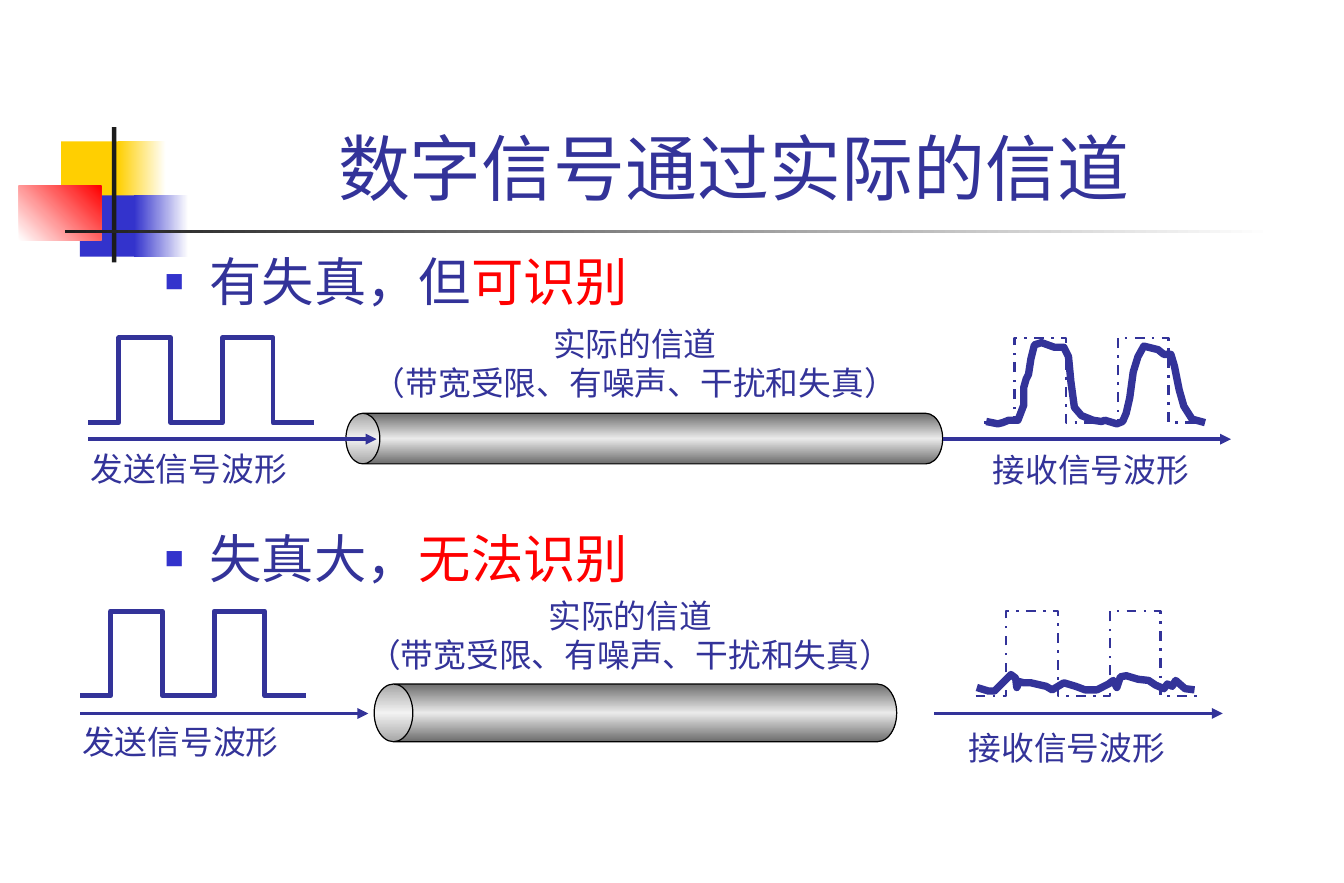
from copy import deepcopy
from dataclasses import dataclass

from lxml import etree
from pptx import Presentation, util as u
from pptx.dml.color import RGBColor
from pptx.enum import dml, shapes, text
from pptx.oxml.ns import qn

NAVY, RED, BLUE, YELLOW = "333399", "FF0000", "3333CC", "FFCF01"
BLACK, WHITE, STEEL, SILVER = "1C1C1C", "FFFFFF", "6C6C6C", "EAEAEA"
SANS = "Noto Sans CJK SC"
RECEIVED_SHIFT = 7.61  # from the sent signal to the received one
Points = list[tuple[float, float]]
Area = tuple[float, float, float, float]


@dataclass
class Block:
    area: Area
    colours: tuple[str, ...]
    angle: float = 0


@dataclass
class Pipe:
    centre: tuple[float, float]
    length: float
    thickness: float
    bend: float


@dataclass
class Label:
    area: Area
    lines: tuple[str, ...]
    font: str
    centred: bool = True
    wrap: bool = False


@dataclass
class Channel:
    left: float
    top: float
    axis: float
    pipe: Pipe
    received: Points
    labels: list[Label]


BLOCKS = [
    Block((0.52, 1.2, 0.55, 0.52), (YELLOW,)),
    Block((1, 1.2, 0.41, 0.52), (YELLOW, WHITE)),
    Block((0.68, 1.66, 0.53, 0.52), (BLUE,)),
    Block((1.14, 1.66, 0.46, 0.52), (BLUE, WHITE)),
    Block((0.16, 1.58, 0.7, 0.46), (WHITE, RED), 45),
    Block((0.95, 1.08, 0.04, 1.15), (BLACK,)),
    Block((0.55, 1.95, 10.27, 0.03), (BLACK, WHITE)),
]
PULSES = [(0, 0.72), (0.26, 0.72), (0.26, 0), (0.7, 0), (0.7, 0.72),
          (1.14, 0.72), (1.14, 0), (1.57, 0), (1.57, 0.72), (1.92, 0.72)]
READABLE = [
    (8.38, 3.58), (8.48, 3.6), (8.52, 3.59), (8.57, 3.57), (8.65, 3.57), (8.7, 3.44),
    (8.7, 3.29), (8.72, 3.22), (8.74, 3.18), (8.76, 3.05), (8.79, 2.93), (8.85, 2.91),
    (8.96, 2.95), (9.04, 2.95), (9.08, 3.03), (9.1, 3.24), (9.13, 3.46), (9.19, 3.53),
    (9.29, 3.57), (9.36, 3.58), (9.39, 3.57), (9.49, 3.6), (9.54, 3.58), (9.57, 3.51),
    (9.6, 3.38), (9.63, 3.16), (9.67, 3.03), (9.72, 2.94), (9.84, 2.97), (9.89, 3.01),
    (9.95, 3.01), (9.98, 3.11), (10.02, 3.31), (10.06, 3.45), (10.13, 3.56), (10.24, 3.59)]
UNREADABLE = [
    (8.3, 5.84), (8.4, 5.87), (8.45, 5.87), (8.51, 5.81), (8.59, 5.73), (8.63, 5.76),
    (8.64, 5.84), (8.66, 5.79), (8.7, 5.8), (8.76, 5.8), (8.89, 5.83), (8.94, 5.86),
    (9.04, 5.8), (9.14, 5.83), (9.22, 5.86), (9.32, 5.86), (9.42, 5.81), (9.46, 5.78),
    (9.49, 5.84), (9.52, 5.75), (9.57, 5.74), (9.67, 5.77), (9.76, 5.78), (9.82, 5.82),
    (9.89, 5.85), (9.92, 5.81), (9.96, 5.83), (9.99, 5.78), (10.07, 5.85), (10.15, 5.86)]
MEDIUM = ("实际的信道", "（带宽受限、有噪声、干扰和失真）")
SENT, ARRIVED = ("发送信号波形",), ("接收信号波形",)
CHANNELS = [
    Channel(0.75, 2.87, 3.73, Pipe((5.475, 3.725), 5.07, 0.43, 0.67), READABLE, [
        Label((3.05, 2.7, 4.69, 0.77), MEDIUM, "Times New Roman"),
        Label((0.67, 3.76, 1.88, 0.44), SENT, SANS, centred=False),
        Label((8.07, 3.77, 2.4, 0.43), ARRIVED, SANS, wrap=True)]),
    Channel(0.68, 5.19, 6.06, Pipe((5.4, 6.055), 4.44, 0.49, 0.67), UNREADABLE, [
        Label((3.01, 5.01, 4.69, 0.77), MEDIUM, "Times New Roman"),
        Label((0.6, 6.08, 1.89, 0.44), SENT, SANS, centred=False),
        Label((7.91, 6.13, 2.31, 0.43), ARRIVED, SANS, wrap=True)]),
]


def colour(value: str) -> RGBColor:
    return RGBColor.from_string(value)


def inches(*values: float) -> list[u.Length]:
    return [u.Inches(value) for value in values]


def move(box, area: Area) -> None:
    box.left, box.top, box.width, box.height = inches(*area)


def add_span(para, words: str, size: float, font: str, shade: str = NAVY) -> None:
    span = para.add_run()
    span.text = words
    span.font.size = u.Pt(size)
    span.font.color.rgb = colour(shade)
    span.font.name = font
    etree.SubElement(span.font._element, qn("a:ea"), typeface=SANS)


def paint(box, colours: tuple[str, ...], angle: float = 0) -> None:
    box.shadow.inherit = False
    if len(colours) == 1:
        box.fill.solid()
        box.fill.fore_color.rgb = colour(colours[0])
        return
    box.fill.gradient()
    box.fill.gradient_angle = angle
    stops = box._element.spPr.find(".//" + qn("a:gsLst"))
    while len(stops) < len(colours):
        stops.append(deepcopy(stops[0]))
    for index, stop in enumerate(box.fill.gradient_stops):
        stop.position = index / (len(colours) - 1)
        stop.color.rgb = colour(colours[index])


def draw_block(page, block: Block) -> None:
    box = page.shapes.add_shape(shapes.MSO_SHAPE.RECTANGLE, *inches(*block.area))
    paint(box, block.colours, block.angle)
    box.line.fill.background()


def draw_pipe(page, pipe: Pipe) -> None:
    x, y = pipe.centre
    can = page.shapes.add_shape(shapes.MSO_SHAPE.CAN, *inches(
        x - pipe.thickness / 2, y - pipe.length / 2, pipe.thickness, pipe.length))
    can.adjustments[0] = pipe.bend
    can.rotation = 270
    paint(can, (STEEL, SILVER, STEEL))
    can.line.color.rgb = colour("000000")
    can.line.width = u.Pt(0.75)


def draw_wave(page, points: Points, width: float, dash=None) -> None:
    start, *rest = [tuple(inches(x, y)) for x, y in points]
    builder = page.shapes.build_freeform(*start)
    builder.add_line_segments(rest, close=False)
    wave = builder.convert_to_shape()
    wave.shadow.inherit = False
    wave.fill.background()
    wave.line.color.rgb = colour(NAVY)
    wave.line.width = u.Pt(width)
    if dash:
        wave.line.dash_style = dash


def draw_arrow(page, left: float, y: float) -> None:
    arrow = page.shapes.add_connector(
        shapes.MSO_CONNECTOR.STRAIGHT, *inches(left, y, left + 2.45, y))
    arrow.line.color.rgb = colour(NAVY)
    arrow.line.width = u.Pt(2.25)
    etree.SubElement(arrow.line._get_or_add_ln(), qn("a:tailEnd"), type="triangle")
    etree.SubElement(arrow._element.spPr, qn("a:effectLst"))


def draw_label(page, label: Label) -> None:
    frame = page.shapes.add_textbox(*inches(*label.area)).text_frame
    frame.word_wrap = label.wrap
    for index, words in enumerate(label.lines):
        para = frame.add_paragraph() if index else frame.paragraphs[0]
        para.alignment = text.PP_ALIGN.CENTER if label.centred else text.PP_ALIGN.LEFT
        para.line_spacing = u.Pt(24)
        add_span(para, words, 20, label.font)


def draw_channel(page, channel: Channel) -> None:
    draw_pipe(page, channel.pipe)
    for shift, width, dash in ((0, 3, None),
                               (RECEIVED_SHIFT, 1.5, dml.MSO_LINE.DASH_DOT)):
        left = channel.left + shift
        draw_wave(page, [(left + x, channel.top + y) for x, y in PULSES], width, dash)
    for left in (channel.left, channel.left + RECEIVED_SHIFT - 0.35):
        draw_arrow(page, left, channel.axis)
    draw_wave(page, channel.received, 4.5)
    for label in channel.labels:
        draw_label(page, label)


def write_title(box) -> None:
    move(box, (1.44, 0.23, 9.73, 1.6))
    box.text_frame.vertical_anchor = text.MSO_ANCHOR.BOTTOM
    box.text_frame.auto_size = text.MSO_AUTO_SIZE.NONE
    para = box.text_frame.paragraphs[0]
    para.alignment = text.PP_ALIGN.CENTER
    add_span(para, "数字信号通过实际的信道 ", 44, "Arial")


def write_body(box) -> None:
    move(box, (1.3, 2.02, 9.71, 4.5))
    frame = box.text_frame
    frame.auto_size = text.MSO_AUTO_SIZE.NONE
    for index, (plain, strong) in enumerate((("有失真，但", "可识别"), ("失真大，", "无法识别"))):
        para = frame.add_paragraph() if index else frame.paragraphs[0]
        para.line_spacing = u.Pt(42)
        para.space_before = u.Pt(127 * index)
        properties = para._p.get_or_add_pPr()
        properties.set("marL", str(u.Inches(0.38)))
        properties.set("indent", str(u.Inches(-0.38)))
        shade = etree.SubElement(properties, qn("a:buClr"))
        etree.SubElement(shade, qn("a:srgbClr"), val=BLUE)
        etree.SubElement(properties, qn("a:buSzPct"), val="60000")
        etree.SubElement(properties, qn("a:buChar"), char="■")
        add_span(para, plain, 32, "Arial")
        add_span(para, strong, 32, "Arial", RED)


def main() -> None:
    deck = Presentation()
    deck.slide_width, deck.slide_height = inches(11.42, 7.5)
    page = deck.slides.add_slide(deck.slide_layouts[1])
    # Title and list
    write_title(page.shapes.title)
    write_body(page.placeholders[1])
    # Corner ornament and rule
    for block in BLOCKS:
        draw_block(page, block)
    # Signal paths
    for channel in CHANNELS:
        draw_channel(page, channel)
    deck.save("out.pptx")


if __name__ == "__main__":
    main()
